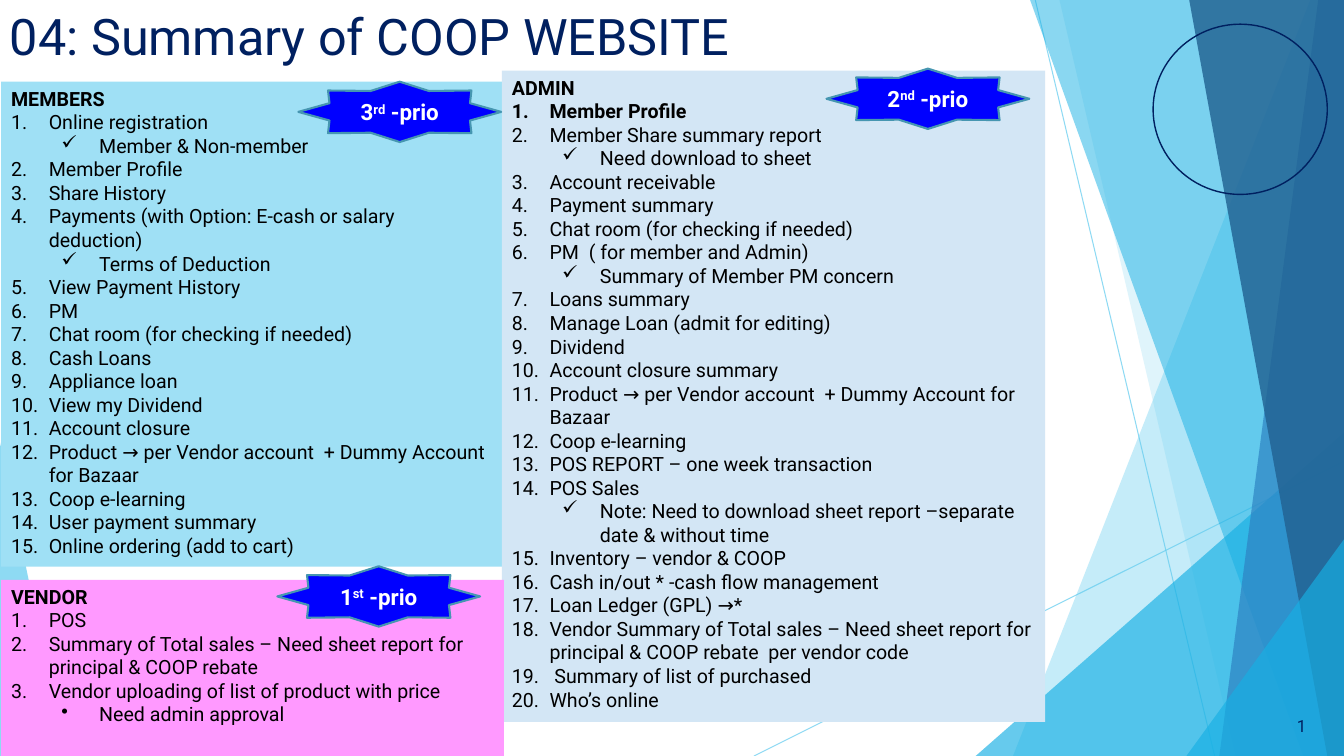
from lxml.etree import SubElement
from pptx import Presentation
from pptx.dml.color import RGBColor
from pptx.enum.shapes import MSO_CONNECTOR, MSO_SHAPE
from pptx.enum.text import MSO_ANCHOR, MSO_AUTO_SIZE, PP_ALIGN
from pptx.oxml.ns import qn
from pptx.util import Cm, Pt

COLORS = {
    "sky": "5FCBEF", "cyan": "17B0E4", "blue": "2E83C3", "deep": "226292",
    "navy": "002060", "aqua": "9FE0F5", "pale": "D3E6F5", "pink": "FF99FF",
    "star": "0000FF", "edge": "4696B1", "black": "000000", "white": "FFFFFF",
}
WIDE, HIGH = 33.87, 19.05


def paint(fill, shade, alpha=100):
    fill.solid()
    fill.fore_color.rgb = RGBColor.from_string(COLORS[shade])
    if alpha < 100:
        color = fill._xPr.find(".//" + qn("a:srgbClr"))
        SubElement(color, qn("a:alpha"), val=str(alpha * 1000))


def style(para, size, shade, bold=False):
    font = para.font
    font.name, font.size, font.bold = "Roboto", Pt(size), bold
    font.color.rgb = RGBColor.from_string(COLORS[shade])


deck = Presentation()
deck.slide_width, deck.slide_height = Cm(WIDE), Cm(HIGH)
slide = deck.slides.add_slide(deck.slide_layouts[6])
shapes = slide.shapes

facets = [
    (0, 11.15, 1.65, 0, "sky", 70),
    (33.02, 0, 25.53, WIDE, "sky", 36),
    (26.7, 0, 31.14, WIDE, "sky", 20),
    (WIDE, 10.9, 24.59, WIDE, "cyan", 66),
    (25.96, 0, 32.84, WIDE, "cyan", 50),
    (33.22, 0, 30.73, WIDE, "blue", 70),
    (29.97, 0, 33.45, WIDE, "deep", 82),
    (WIDE, 13.59, 29.9, WIDE, "cyan", 66),
]
rays = [(19, HIGH, 33.9, 11.61), (26.09, 0, 30.61, HIGH)]

for i, (start, top, foot, side, shade, alpha) in enumerate(facets):
    pen = shapes.build_freeform(Cm(start), Cm(top))
    pen.add_line_segments([(Cm(foot), Cm(HIGH)), (Cm(side), Cm(HIGH)), (Cm(side), Cm(top))])
    facet = pen.convert_to_shape()
    facet.shadow.inherit = False
    facet.line.fill.background()
    paint(facet.fill, shade, alpha)
    if i == 0:
        for ray in rays:
            line = shapes.add_connector(MSO_CONNECTOR.STRAIGHT, *map(Cm, ray))
            line.line.width = Pt(0.75)
            paint(line.line.fill, "sky", 70)
            SubElement(line._element.spPr, qn("a:effectLst"))

ring = shapes.add_shape(MSO_SHAPE.OVAL, Cm(29.06), Cm(0.61), Cm(4.39), Cm(4.29))
ring.shadow.inherit = False
ring.fill.background()
ring.line.width = Pt(1)
paint(ring.line.fill, "navy")

number = shapes.add_textbox(Cm(31.27), Cm(17.78), Cm(1.9), Cm(1.02)).text_frame
number.word_wrap = True
number.vertical_anchor = MSO_ANCHOR.MIDDLE
para = number.paragraphs[0]
para.alignment = PP_ALIGN.RIGHT
style(para, 12, "navy")
field = SubElement(para._p, qn("a:fld"), type="slidenum",
                   id="{B6F15528-21DE-4FAA-801E-634DDDAF4B2B}")
SubElement(field, qn("a:rPr"), lang="en-US")
SubElement(field, qn("a:t")).text = "2"

title = shapes.add_textbox(0, 0, Cm(23.39), Cm(2.06)).text_frame
title.word_wrap = True
title.text = "04: Summary of COOP WEBSITE"
style(title.paragraphs[0], 36, "navy")

members = """MEMBERS
Online registration
✓Member & Non-member
Member Profile
Share History
Payments (with Option: E-cash or salary deduction)
✓Terms of Deduction
View Payment History
PM
Chat room (for checking if needed)
Cash Loans
Appliance loan
View my Dividend
Account closure
Product → per Vendor account  + Dummy Account for Bazaar
Coop e-learning
User payment summary
Online ordering (add to cart)"""

admin = """ADMIN
Member Profile
Member Share summary report
✓Need download to sheet
Account receivable
Payment summary
Chat room (for checking if needed)
PM  ( for member and Admin)
✓Summary of Member PM concern
Loans summary
Manage Loan (admit for editing)
Dividend
Account closure summary
Product → per Vendor account  + Dummy Account for Bazaar
Coop e-learning
POS REPORT – one week transaction
POS Sales
✓Note: Need to download sheet report –separate date & without time
Inventory – vendor & COOP
Cash in/out * -cash flow management
Loan Ledger (GPL) →*
Vendor Summary of Total sales – Need sheet report for principal & COOP rebate  per vendor code
 Summary of list of purchased
Who’s online"""

vendor = """VENDOR
POS
Summary of Total sales – Need sheet report for principal & COOP rebate
Vendor uploading of list of product with price
•Need admin approval"""

panels = [
    (0.03, 2.06, 12.67, 12.22, "aqua", members, 1),
    (12.65, 1.78, 13.69, 16.41, "pale", admin, 2),
    (0.03, 14.61, 12.67, 4.44, "pink", vendor, 1),
]
for left, top, width, height, shade, text, strong in panels:
    panel = shapes.add_shape(MSO_SHAPE.RECTANGLE, Cm(left), Cm(top), Cm(width), Cm(height))
    panel.shadow.inherit = False
    panel.line.fill.background()
    paint(panel.fill, shade)
    frame = panel.text_frame
    frame.word_wrap = True
    frame.auto_size = MSO_AUTO_SIZE.SHAPE_TO_FIT_TEXT
    frame.vertical_anchor = MSO_ANCHOR.TOP
    for i, item in enumerate(text.split("\n")):
        para = frame.add_paragraph() if i else frame.paragraphs[0]
        para.alignment = PP_ALIGN.LEFT
        mark = item[0] if item[0] in "✓•" else ""
        para.text = item[len(mark):]
        if i:
            para.level = 1 if mark else 0
            props = para._p.get_or_add_pPr()
            props.set("marL", str(Cm(2.22 if mark else 0.95)))
            props.set("indent", str(Cm(-0.95)))
            if mark:
                SubElement(props, qn("a:buChar"), char=mark)
            else:
                SubElement(props, qn("a:buAutoNum"), type="arabicPeriod")
        style(para, 14, "black", i < strong)

stars = [(6.99, 14.27, "1", "st"), (20.83, 1.73, "2", "nd"), (7.52, 2.06, "3", "rd")]
for left, top, rank, suffix in stars:
    star = shapes.add_shape(MSO_SHAPE.STAR_8_POINT, Cm(left), Cm(top), Cm(5.11), Cm(1.52))
    star.shadow.inherit = False
    star.line.width = Pt(1.5)
    paint(star.line.fill, "edge")
    paint(star.fill, "star")
    star.text_frame.vertical_anchor = MSO_ANCHOR.MIDDLE
    para = star.text_frame.paragraphs[0]
    para.alignment = PP_ALIGN.CENTER
    style(para, 16, "white", True)
    for part in (rank, suffix, " -prio"):
        run = para.add_run()
        run.text = part
        if part == suffix:
            run._r.get_or_add_rPr().set("baseline", "30000")

deck.save("out.pptx")
